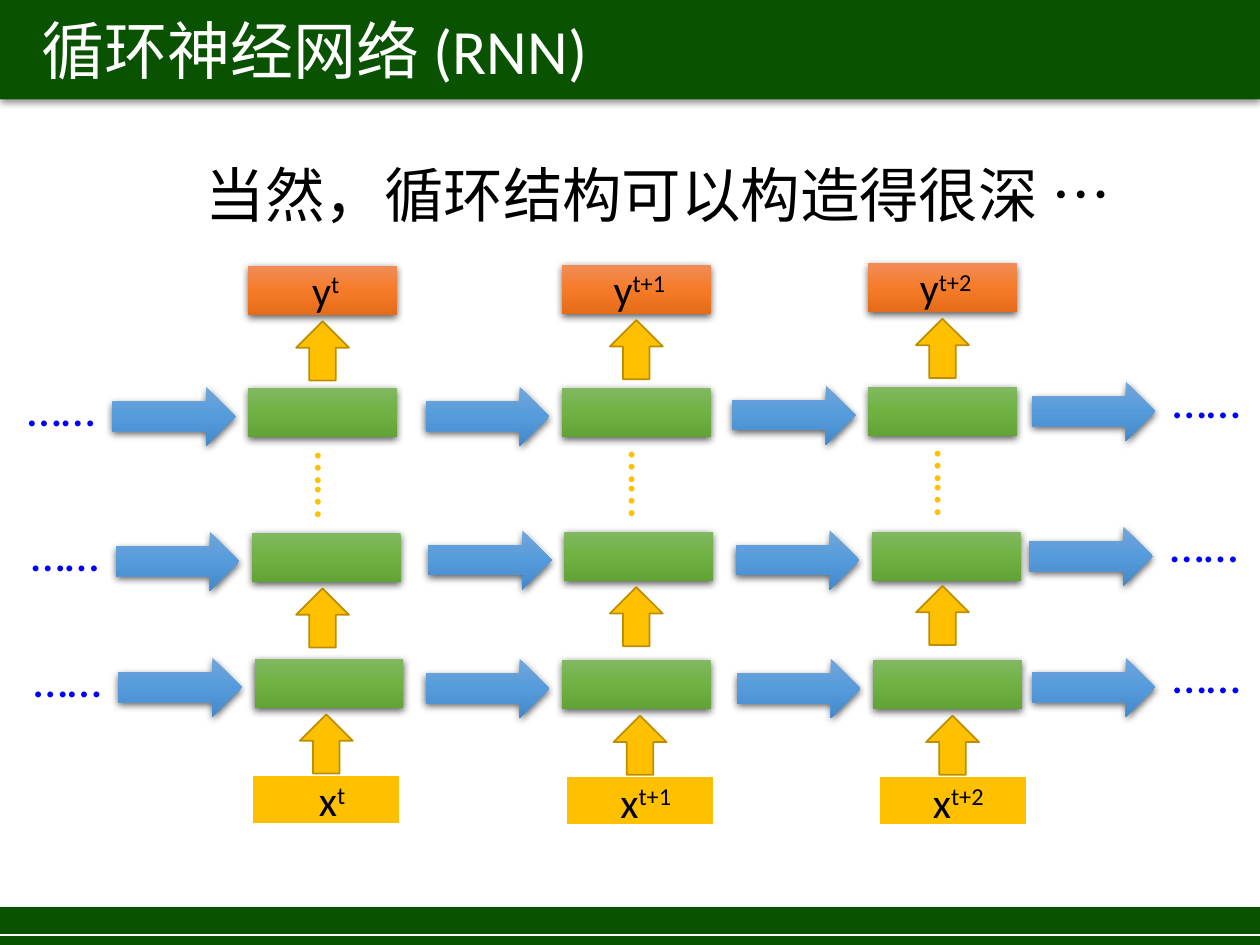
from lxml.etree import SubElement
from pptx import Presentation
from pptx.dml.color import RGBColor
from pptx.enum.shapes import MSO_CONNECTOR, MSO_SHAPE
from pptx.enum.text import MSO_ANCHOR, MSO_AUTO_SIZE, PP_ALIGN
from pptx.oxml.ns import qn
from pptx.util import Inches, Pt

COLORS = {
    "band": "095200", "white": "FFFFFF", "black": "000000", "dots": "0000FF",
    "amber": "FFC000", "amber_edge": "BD8E00",
}
GRADIENTS = {
    "hidden": ["81B861", "6FB242", "62A336"],
    "output": ["F18C57", "F67B28", "E56C19"],
    "flow": ["71A6DB", "559BDB", "448ACA"],
}
FONT = "Calibri"
CELL = (1.18, 0.39)
FLOW_ARROW = (0.98, 0.47)
UP_ARROW = (0.42, 0.47)
DOTS = (0.97, 0.57)
LABEL = (0.99, 0.5)

STEPS = ["t", "t+1", "t+2"]
# Left and top of each time step's output box, then of its input box
OUTPUTS = [(1.97, 2.11), (4.46, 2.1), (6.89, 2.09)]
INPUTS = [(2, 6.15), (4.49, 6.16), (6.97, 6.16)]
# Left and top of the flow arrows of each hidden layer
LAYERS = [
    [(0.94, 5.22), (3.38, 5.23), (5.85, 5.23), (8.19, 5.22)],
    [(0.92, 4.22), (3.4, 4.21), (5.84, 4.21), (8.17, 4.18)],
    [(0.89, 3.07), (3.38, 3.07), (5.81, 3.06), (8.19, 3.03)],
]


def rgb(name):
    return RGBColor.from_string(COLORS[name])


def add_shadow(shape, opacity, blur, distance):
    """Put a soft shadow straight below the shape."""
    effects = shape._element.spPr.find(qn("a:effectLst"))
    shadow = SubElement(effects, qn("a:outerShdw"), blurRad=str(Pt(blur)),
                        dist=str(Pt(distance)), dir="5400000", rotWithShape="0")
    color = SubElement(shadow, qn("a:srgbClr"), val=COLORS["black"])
    SubElement(color, qn("a:alpha"), val=str(opacity * 1000))


def add_block(page, kind, left, top, size, fill, edge=None, edge_width=1):
    shape = page.shapes.add_shape(kind, Inches(left), Inches(top), *map(Inches, size))
    shape.shadow.inherit = False
    if edge:
        shape.line.color.rgb = rgb(edge)
        shape.line.width = Pt(edge_width)
    else:
        shape.line.fill.background()
    if fill in GRADIENTS:
        shape.fill.gradient()
        shape.fill.gradient_angle = 270
        stops = shape._element.spPr.find(qn("a:gradFill")).find(qn("a:gsLst"))
        stops.clear()
        for index, color in enumerate(GRADIENTS[fill]):
            stop = SubElement(stops, qn("a:gs"), pos=str(index * 50000))
            SubElement(stop, qn("a:srgbClr"), val=color)
        add_shadow(shape, 63, 4.5, 1.5)
    else:
        shape.fill.solid()
        shape.fill.fore_color.rgb = rgb(fill)
    return shape


def style_para(para, size, color, align=PP_ALIGN.CENTER):
    para.alignment = align
    para.font.size = Pt(size)
    para.font.name = FONT
    para.font.color.rgb = rgb(color)


def add_text(page, left, top, size, text, points, color, superscript=None):
    box = page.shapes.add_textbox(Inches(left), Inches(top), *map(Inches, size))
    box.text_frame.word_wrap = True
    box.text_frame.auto_size = MSO_AUTO_SIZE.SHAPE_TO_FIT_TEXT
    para = box.text_frame.paragraphs[0]
    para.add_run().text = text
    if superscript:
        span = para.add_run()
        span.text = superscript
        span._r.get_or_add_rPr().set("baseline", "30000")
    style_para(para, points, color)
    return box


def add_dots(page, left, top, color="dots"):
    return add_text(page, left, top, DOTS, "……", 28, color)


def add_up_arrow(page, left, top):
    add_block(page, MSO_SHAPE.UP_ARROW, left, top, UP_ARROW, "amber", "amber_edge")


def draw_header(page, left, top, width, height):
    band = add_block(page, MSO_SHAPE.RECTANGLE, left, top, (width, height), "band")
    add_shadow(band, 40, 4, 1)
    frame = band.text_frame
    frame.vertical_anchor = MSO_ANCHOR.MIDDLE
    frame.margin_left = Inches(0.33)
    frame.text = "循环神经网络 (RNN)"
    style_para(frame.paragraphs[0], 36, "white", PP_ALIGN.LEFT)


def draw_footer(page, left, top, width, height):
    add_block(page, MSO_SHAPE.RECTANGLE, left, top, (width, height), "band")
    rule_top = Inches(top + 0.22)
    rule = page.shapes.add_connector(MSO_CONNECTOR.STRAIGHT, Inches(left), rule_top,
                                     Inches(left + width), rule_top)
    rule.line.color.rgb = rgb("white")
    rule.line.width = Pt(0.75)
    SubElement(rule._element.spPr, qn("a:effectLst"))


def draw_statement(page, left, top, width, height):
    box = add_text(page, left, top, (width, height),
                   "当然，循环结构可以构造得很深 …", 34, "black")
    box.text_frame.auto_size = MSO_AUTO_SIZE.NONE
    box.text_frame.vertical_anchor = MSO_ANCHOR.BOTTOM
    box.text_frame.paragraphs[0].line_spacing = 0.8


def draw_layer(page, arrows):
    """Draw one hidden layer: a cell after each arrow but the last, dots at both ends."""
    for left, top in arrows:
        add_block(page, MSO_SHAPE.RIGHT_ARROW, left, top, FLOW_ARROW, "flow")
    for left, top in arrows[:-1]:
        add_block(page, MSO_SHAPE.RECTANGLE, left + 1.08, top + 0.01, CELL, "hidden")
    first_left, first_top = arrows[0]
    last_left, last_top = arrows[-1]
    add_dots(page, first_left - 0.89, first_top - 0.12)
    add_dots(page, last_left + 0.9, last_top - 0.15)


def draw_output(page, left, top, step):
    """Draw the output box and the links between the layers below it."""
    add_block(page, MSO_SHAPE.RECTANGLE, left, top, CELL, "output")
    add_text(page, left + 0.12, top - 0.06, LABEL, "y", 24, "black", step)
    for offset in (0.44, 2.56):
        add_up_arrow(page, left + 0.38, top + offset)
    add_dots(page, left + 0.2, top + 1.46, "amber").rotation = 90


def draw_input(page, left, top, step):
    add_block(page, MSO_SHAPE.RECTANGLE, left, top, CELL, "amber", "white", 1.5)
    add_text(page, left + 0.14, top - 0.05, LABEL, "x", 24, "black", step)
    add_up_arrow(page, left + 0.38, top - 0.48)


def main():
    deck = Presentation()
    deck.slide_width, deck.slide_height = Inches(10), Inches(7.5)
    page = deck.slides.add_slide(deck.slide_layouts[6])
    draw_header(page, 0, -0.01, 10, 0.8)
    draw_footer(page, 0, 7.2, 10, 0.3)
    draw_statement(page, 1.33, 1.21, 7.79, 0.66)
    for arrows in LAYERS:
        draw_layer(page, arrows)
    for step, output, source in zip(STEPS, OUTPUTS, INPUTS):
        draw_output(page, *output, step)
        draw_input(page, *source, step)
    deck.save("out.pptx")


if __name__ == "__main__":
    main()
